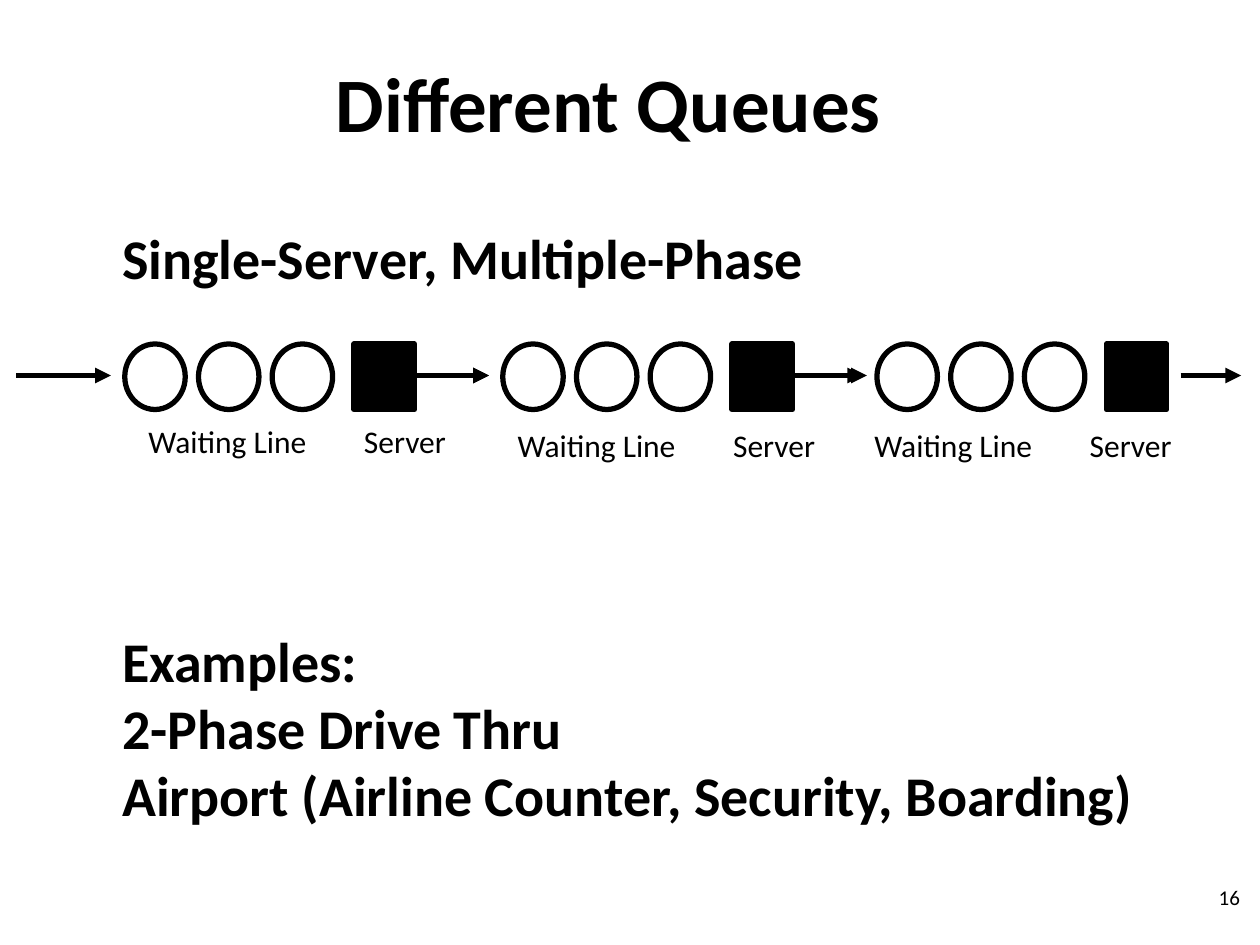
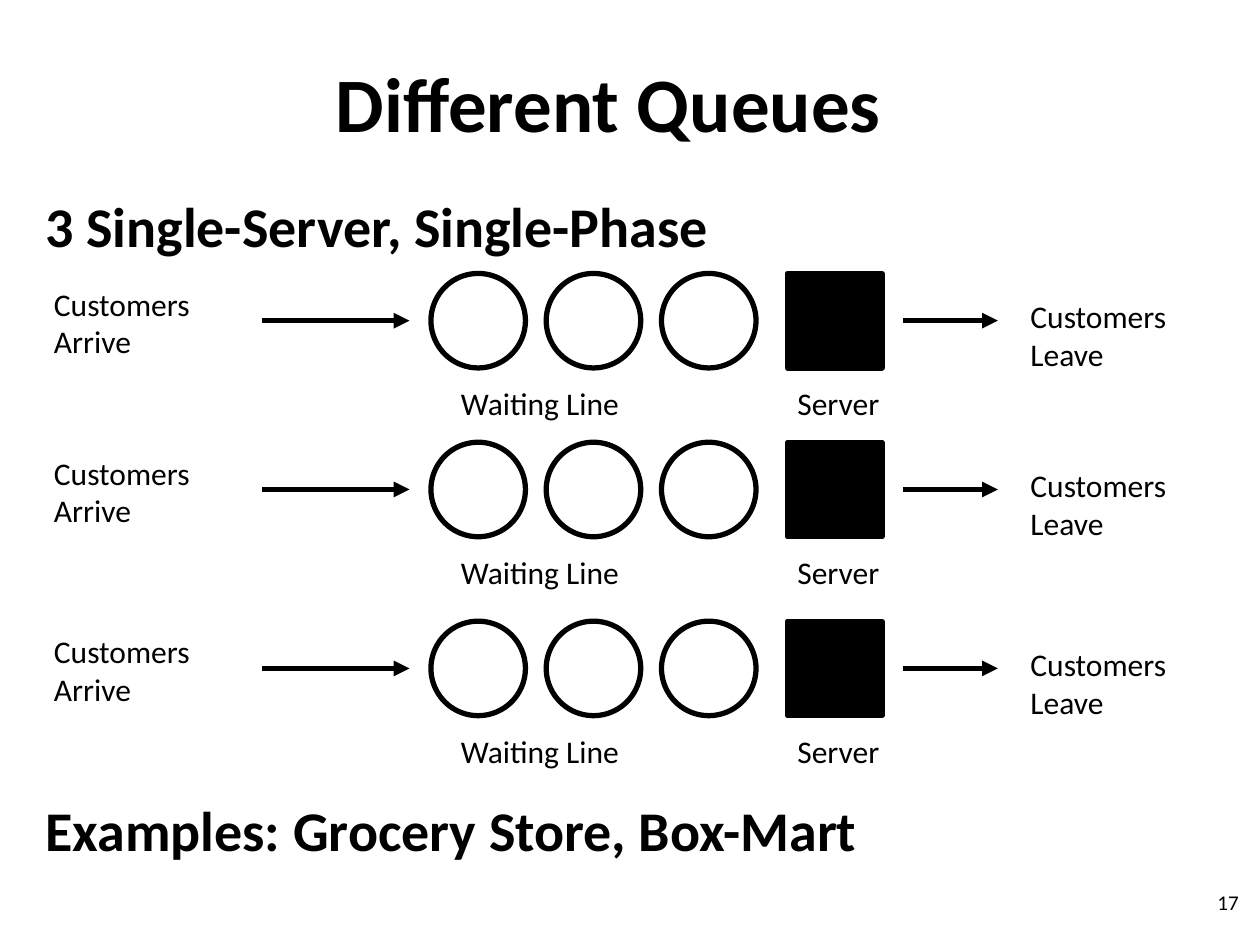
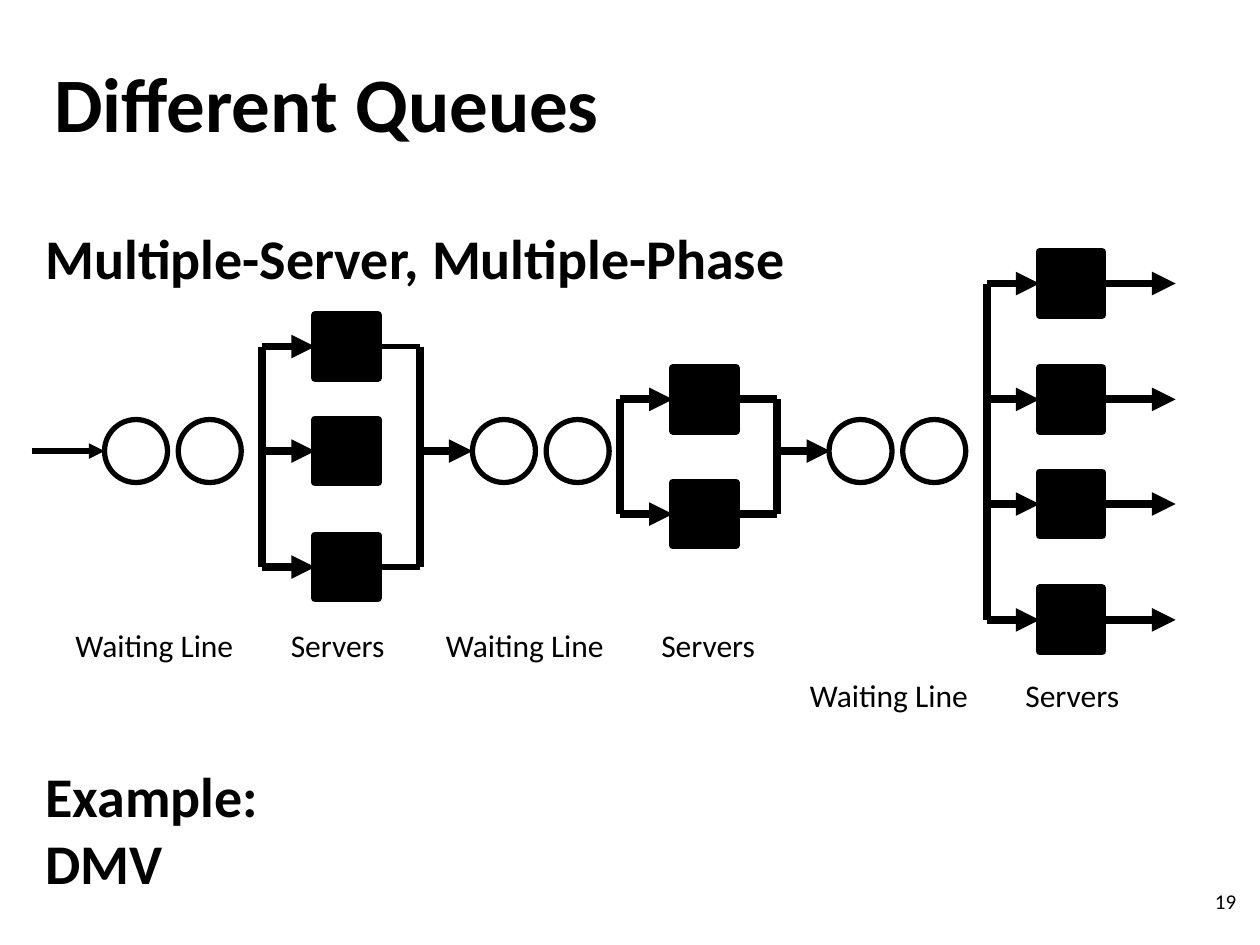
from lxml.etree import SubElement
from pptx import Presentation
from pptx.dml.color import RGBColor
from pptx.enum.shapes import MSO_CONNECTOR, MSO_SHAPE
from pptx.enum.text import MSO_ANCHOR, PP_ALIGN
from pptx.oxml.ns import qn
from pptx.util import Inches, Pt

COLORS = {"ink": "000000", "paper": "FFFFFF"}
FONT = "Calibri"
INK = RGBColor.from_string(COLORS["ink"])


def write(frame, paragraphs, size, bold=False, align=PP_ALIGN.LEFT):
    frame.word_wrap = True
    for index, text in enumerate(paragraphs):
        paragraph = frame.paragraphs[0] if index == 0 else frame.add_paragraph()
        paragraph.alignment = align
        for row, piece in enumerate(text.split("\n")):
            if row:
                paragraph.add_line_break()
            run = paragraph.add_run()
            run.text = piece
            run.font.name = FONT
            run.font.size = Pt(size)
            run.font.bold = bold
            run.font.color.rgb = INK


def add_text_box(slide, left, top, width, height):
    box = slide.shapes.add_textbox(Inches(left), Inches(top), Inches(width), Inches(height))
    return box.text_frame


single_server_phases = {"circles": [], "servers": [], "lines": [], "labels": []}
for left, label_left, label_top in [(0.99, 1.08, 3.3), (3.99, 4.01, 3.33), (6.96, 6.84, 3.33)]:
    for place in range(3):
        single_server_phases["circles"].append((left + place * 0.585, 2.73, 0.48, 0.52))
    single_server_phases["servers"].append((left + 1.82, 2.73, 0.48, 0.52))
    single_server_phases["lines"] += [
        (left - 0.86, 2.98, left - 0.11, 2.98, 3, True),
        (left + 2.41, 2.98, left + 2.89, 2.98, 3, True),
    ]
    single_server_phases["labels"] += [
        ("Waiting Line", label_left, label_top, 1.58, 0.4),
        ("Server", label_left + 1.71, label_top, 0.95, 0.4),
    ]

parallel_queues = {"circles": [], "servers": [], "lines": [], "labels": []}
for top in (2.17, 3.51, 4.93):
    middle = top + 0.375
    for place in range(3):
        parallel_queues["circles"].append((3.42 + place * 0.915, top, 0.75, 0.75))
    parallel_queues["servers"].append((6.25, top, 0.75, 0.75))
    parallel_queues["lines"] += [
        (2.08, middle, 3.25, middle, 3, True),
        (7.17, middle, 7.92, middle, 3, True),
    ]
    parallel_queues["labels"] += [
        ("Server", 6.23, top + 0.83, 0.95, 0.4),
        ("Waiting Line", 3.56, top + 0.83, 1.58, 0.4),
        ("Customers\nArrive", 0.33, top + 0.04, 1.49, 0.71),
        ("Customers\nLeave", 8.08, top + 0.14, 1.42, 0.71),
    ]

multi_server_phases = {
    "circles": [], "servers": [], "labels": [],
    "lines": [(0.25, 3.58, 0.83, 3.58, 3, True)],
}
for line_left, split, server_tops, merge_weight, label_left, label_top in [
    (0.83, 2.08, (2.5, 3.33, 4.25), 3, 0.5, 4.92),
    (3.75, 4.92, (2.92, 3.83), 4.5, 3.44, 4.92),
    (6.58, 7.83, (2, 2.92, 3.75, 4.67), None, 6.33, 5.32),
]:
    server_left = split + 0.42
    server_right = server_left + 0.5
    merge = server_left + 0.83
    first, last = server_tops[0] + 0.25, server_tops[-1] + 0.25
    lines = multi_server_phases["lines"]
    for place in range(2):
        multi_server_phases["circles"].append((line_left + place * 0.585, 3.33, 0.5, 0.5))
    lines.append((split, first, split, last, 4.5, False))
    for top in server_tops:
        middle = top + 0.25
        multi_server_phases["servers"].append((server_left, top, 0.5, 0.5))
        lines.append((split, middle, server_left, middle, 4.5, True))
        if merge_weight is None:
            lines.append((server_right, middle, server_right + 0.58, middle, 4.5, True))
        elif middle in (first, last):
            lines.append((server_right, middle, merge, middle, merge_weight, False))
    if merge_weight:
        lines.append((merge, first, merge, last, 4.5, False))
        lines.append((merge, 3.58, merge + 0.42, 3.58, 4.5, True))
    multi_server_phases["labels"] += [
        ("Waiting Line", label_left, label_top, 1.58, 0.4),
        ("Servers", label_left + 1.71, label_top, 1.07, 0.4),
    ]

queue_slides = [
    {
        "title_align": PP_ALIGN.CENTER,
        "statements": [
            (0.78, 1.67, 8.46, ["Single-Server, Multiple-Phase"]),
            (0.78, 4.87, 8.46, ["Examples:", "2-Phase Drive Thru",
                                "Airport (Airline Counter, Security, Boarding)"]),
        ],
        "diagram": single_server_phases,
        "server_weight": 3,
        "number": ("16", 7.61, 6.86),
    },
    {
        "title_align": PP_ALIGN.CENTER,
        "statements": [
            (0.17, 1.42, 9.8, ["3 Single-Server, Single-Phase"]),
            (0.17, 6.21, 9.8, ["Examples: Grocery Store, Box-Mart"]),
        ],
        "diagram": parallel_queues,
        "server_weight": 3,
        "number": ("17", 7.6, 6.9),
    },
    {
        "title_align": PP_ALIGN.LEFT,
        "statements": [
            (0.17, 1.67, 9.8, ["Multiple-Server, Multiple-Phase"]),
            (0.17, 5.94, 9.8, ["Example:", "DMV"]),
        ],
        "diagram": multi_server_phases,
        "server_weight": 4.5,
        "number": ("19", 7.58, 6.89),
    },
]

presentation = Presentation()
presentation.slide_width = Inches(10)
presentation.slide_height = Inches(7.5)

for content in queue_slides:
    slide = presentation.slides.add_slide(presentation.slide_layouts[5])
    slide.background.fill.solid()
    slide.background.fill.fore_color.rgb = RGBColor.from_string(COLORS["paper"])
    diagram = content["diagram"]

    title = slide.shapes.title
    title.left, title.top, title.width, title.height = map(Inches, (0.33, 0.17, 9, 1.37))
    title.text_frame.vertical_anchor = MSO_ANCHOR.MIDDLE
    write(title.text_frame, ["Different Queues"], 44, True, content["title_align"])
    title.text_frame.paragraphs[0].line_spacing = 0.9

    for left, top, width, paragraphs in content["statements"]:
        statement = add_text_box(slide, left, top, width, 0.15 + 0.54 * len(paragraphs))
        statement.margin_left = Inches(0.19)
        statement.margin_top = Inches(0.1)
        write(statement, paragraphs, 32, True)

    for kind, preset, weight in [
        ("circles", MSO_SHAPE.OVAL, 3),
        ("servers", MSO_SHAPE.RECTANGLE, content["server_weight"]),
    ]:
        for bounds in diagram[kind]:
            station = slide.shapes.add_shape(preset, *map(Inches, bounds))
            station.shadow.inherit = False
            station.line.color.rgb = INK
            station.line.width = Pt(weight)
            if kind == "servers":
                station.fill.solid()
                station.fill.fore_color.rgb = INK
            else:
                station.fill.background()

    for x1, y1, x2, y2, weight, has_arrowhead in diagram["lines"]:
        flow = slide.shapes.add_connector(MSO_CONNECTOR.STRAIGHT, *map(Inches, (x1, y1, x2, y2)))
        flow.line.color.rgb = INK
        flow.line.width = Pt(weight)
        if has_arrowhead:
            SubElement(flow.line._get_or_add_ln(), qn("a:tailEnd"), type="triangle")
        SubElement(flow._element.spPr, qn("a:effectLst"))

    for text, *bounds in diagram["labels"]:
        write(add_text_box(slide, *bounds), [text], 18)

    number, left, top = content["number"]
    page_number = add_text_box(slide, left, top, 2.33, 0.52)
    page_number.vertical_anchor = MSO_ANCHOR.MIDDLE
    write(page_number, [number], 12, align=PP_ALIGN.RIGHT)

presentation.save("out.pptx")
